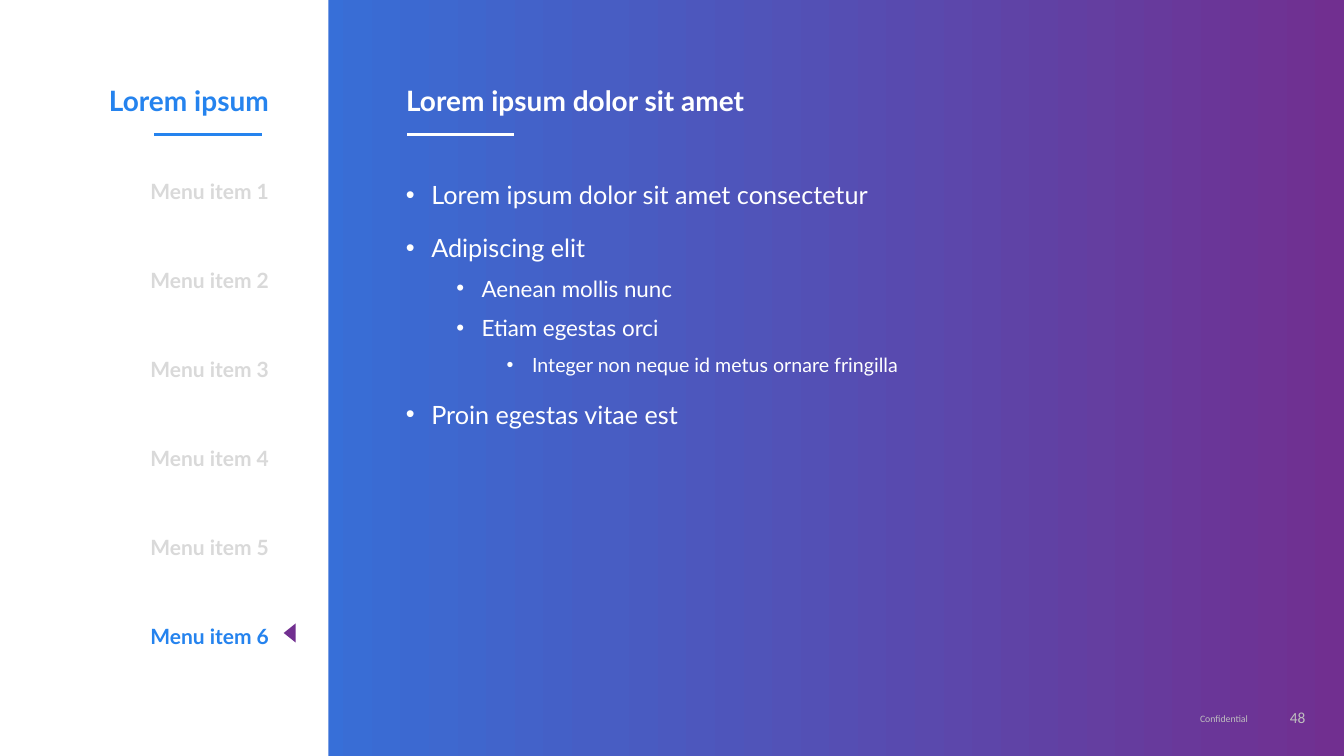
from dataclasses import dataclass

from lxml import etree
from pptx import Presentation
from pptx import util as u
from pptx.dml.color import RGBColor
from pptx.enum import shapes, text
from pptx.oxml.ns import qn

COLORS = {
    "white": "FFFFFF",
    "blue": "2583EE",
    "purple": "712F90",
    "menu": "D9D9D9",
    "footer": "BFBFBF",
}
LEVEL_SIZES = (18, 16, 14)
LEVEL_SPACING = (12, 5, 5)
LEVEL_STEP = 1.27
HANGING = 0.64
RULE_TOP = 3.38


@dataclass(frozen=True)
class Box:
    left: float
    top: float
    width: float
    height: float

    def lengths(self) -> tuple:
        return tuple(u.Cm(v) for v in (self.left, self.top, self.width, self.height))


@dataclass(frozen=True)
class Bullet:
    wording: str
    level: int = 0


@dataclass(frozen=True)
class Rule:
    start: float
    end: float
    color: str


@dataclass(frozen=True)
class Footer:
    wording: str
    box: Box
    size: int


BULLETS = (
    Bullet("Lorem ipsum dolor sit amet consectetur"),
    Bullet("Adipiscing elit"),
    Bullet("Aenean mollis nunc", 1),
    Bullet("Etiam egestas orci", 1),
    Bullet("Integer non neque id metus ornare fringilla", 2),
    Bullet("Proin egestas vitae est"),
)
RULES = (Rule(10.26, 12.95, "white"), Rule(3.89, 6.6, "blue"))
FOOTERS = (
    Footer("Confidential", Box(28.52, 17.78, 3.18, 0.58), 7),
    Footer("48", Box(32.13, 17.63, 1.02, 0.79), 11),
)
MENU_COUNT = 6
ACTIVE_ITEM = 6


def rgb(name: str) -> RGBColor:
    return RGBColor.from_string(COLORS[name])


def prepare_frame(shape, anchor=text.MSO_ANCHOR.TOP):
    frame = shape.text_frame
    frame.word_wrap = True
    frame.auto_size = text.MSO_AUTO_SIZE.NONE
    frame.vertical_anchor = anchor
    return frame


def add_frame(slide, box: Box, anchor=text.MSO_ANCHOR.TOP):
    return prepare_frame(slide.shapes.add_textbox(*box.lengths()), anchor)


def write(frame, wording: str, *, size: int, color: str, font: str = "Lato",
          bold: bool = False, align=text.PP_ALIGN.LEFT, before: float = 0):
    first = not frame.text
    paragraph = frame.paragraphs[0] if first else frame.add_paragraph()
    paragraph.alignment = align
    paragraph.line_spacing = 1.2
    paragraph.space_before = u.Pt(0 if first else before)
    run = paragraph.add_run()
    run.text = wording
    run.font.name = font
    run.font.size = u.Pt(size)
    run.font.bold = bold
    run.font.color.rgb = rgb(color)
    return paragraph


def add_bullet_mark(paragraph, level: int) -> None:
    properties = paragraph._p.get_or_add_pPr()
    properties.set("marL", str(u.Cm(HANGING + level * LEVEL_STEP)))
    properties.set("indent", str(-u.Cm(HANGING)))
    bullet_color = etree.SubElement(properties, qn("a:buClr"))
    etree.SubElement(bullet_color, qn("a:srgbClr"), val=COLORS["white"])
    etree.SubElement(properties, qn("a:buFont"), typeface="Arial")
    etree.SubElement(properties, qn("a:buChar"), char="•")


def add_filled(slide, kind, box: Box, color: str):
    shape = slide.shapes.add_shape(kind, *box.lengths())
    shape.shadow.inherit = False
    shape.fill.solid()
    shape.fill.fore_color.rgb = rgb(color)
    shape.line.fill.background()
    return shape


def add_rule(slide, rule: Rule) -> None:
    top = u.Cm(RULE_TOP)
    line = slide.shapes.add_connector(
        shapes.MSO_CONNECTOR.STRAIGHT, u.Cm(rule.start), top, u.Cm(rule.end), top)
    line.line.color.rgb = rgb(rule.color)
    line.line.width = u.Pt(2.25)
    etree.SubElement(line._element.spPr, qn("a:effectLst"))


def paint_background(slide) -> None:
    fill = slide.background.fill
    fill.gradient()
    fill.gradient_angle = 0
    for stop, color in zip(fill.gradient_stops, ("blue", "purple")):
        stop.color.rgb = rgb(color)


def add_title(slide, wording: str) -> None:
    title = slide.shapes.title
    title.left, title.top, title.width, title.height = Box(9.98, 1.02, 21.56, 2.06).lengths()
    frame = prepare_frame(title, text.MSO_ANCHOR.BOTTOM)
    write(frame, wording, size=20, color="white", bold=True)


def add_bullets(slide) -> None:
    frame = add_frame(slide, Box(9.98, 4.24, 21.56, 12.93))
    for bullet in BULLETS:
        paragraph = write(frame, bullet.wording, size=LEVEL_SIZES[bullet.level],
                          color="white", before=LEVEL_SPACING[bullet.level])
        paragraph.level = bullet.level
        add_bullet_mark(paragraph, bullet.level)


def add_menu(slide) -> None:
    heading = add_frame(slide, Box(1.24, 1.02, 5.79, 2.06), text.MSO_ANCHOR.BOTTOM)
    write(heading, "Lorem ipsum", size=20, color="blue", bold=True,
          align=text.PP_ALIGN.RIGHT)
    items = add_frame(slide, Box(1.24, 4.24, 5.79, 12.93))
    for number in range(1, MENU_COUNT + 1):
        write(items, f"Menu item {number}", size=15, bold=True, before=42,
              color="blue" if number == ACTIVE_ITEM else "menu",
              align=text.PP_ALIGN.RIGHT)
    marker = add_filled(slide, shapes.MSO_SHAPE.ISOSCELES_TRIANGLE,
                        Box(7.06, 15.8, 0.48, 0.3), "purple")
    marker.rotation = 270


def main() -> None:
    presentation = Presentation()
    presentation.slide_width = u.Cm(33.87)
    presentation.slide_height = u.Cm(19.05)
    slide = presentation.slides.add_slide(presentation.slide_layouts[5])
    paint_background(slide)
    add_filled(slide, shapes.MSO_SHAPE.RECTANGLE, Box(0, 0, 8.28, 19.05), "white")
    add_title(slide, "Lorem ipsum dolor sit amet")
    add_bullets(slide)
    add_menu(slide)
    for rule in RULES:
        add_rule(slide, rule)
    for footer in FOOTERS:
        write(add_frame(slide, footer.box), footer.wording, size=footer.size,
              color="footer", font="Calibri", align=text.PP_ALIGN.RIGHT)
    presentation.save("out.pptx")


if __name__ == "__main__":
    main()
